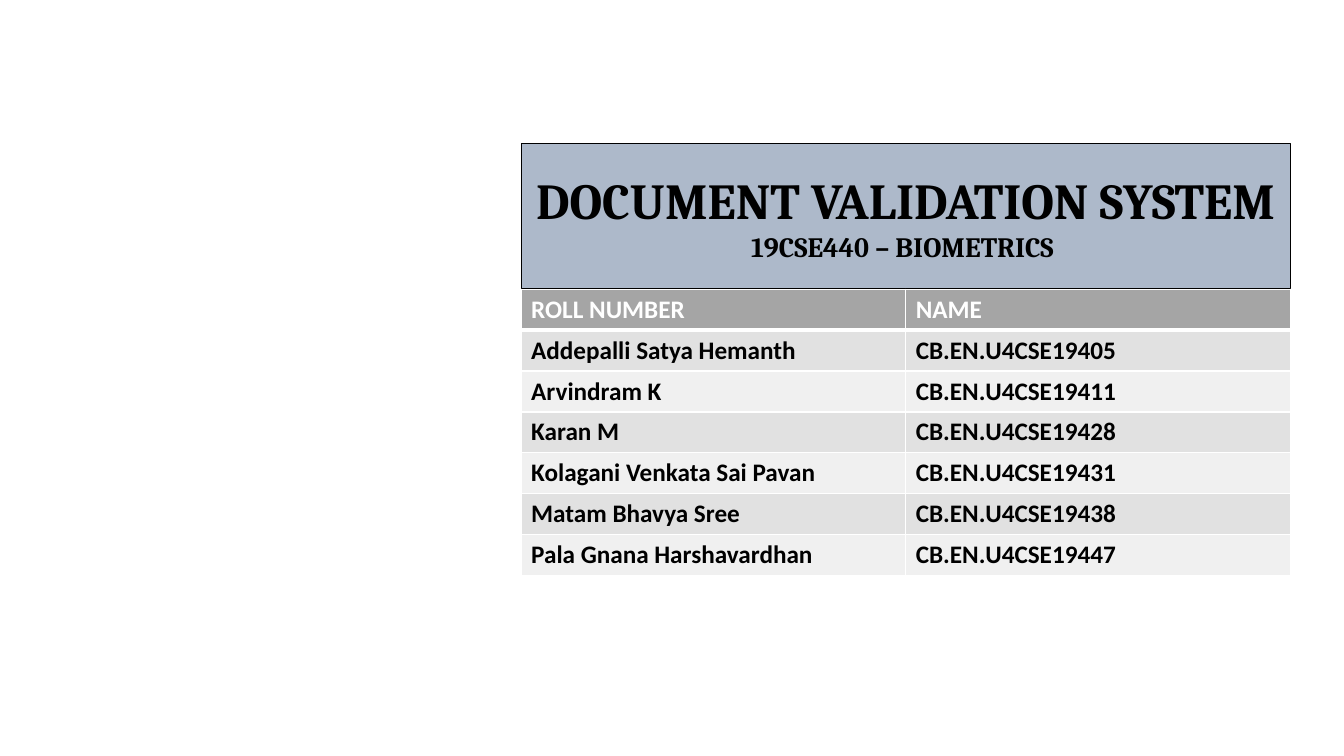
from dataclasses import dataclass

from lxml.etree import SubElement
from pptx import Presentation
from pptx.dml.color import RGBColor as Color
from pptx.enum.shapes import MSO_SHAPE as Preset
from pptx.enum.text import MSO_ANCHOR as Anchor, PP_ALIGN as Align
from pptx.oxml.ns import qn
from pptx.slide import Slide
from pptx.table import _Cell as Cell
from pptx.text.text import _Paragraph as Paragraph
from pptx.util import Pt

COLORS = {
    "text": "000000",
    "white": "FFFFFF",
    "banner": "ADB9CA",
    "header": "A5A5A5",
    "dark band": "E1E1E1",
    "light band": "F0F0F0",
}
LEFT, WIDTH = 372.24, 549.36
BANNER_TOP, BANNER_HEIGHT = 102.24, 103.68
TABLE_TOP, ROW_HEIGHT = 206.64, 29.2
THIN, THICK = 1, 3


@dataclass(frozen=True)
class TextStyle:
    font: str
    size: float
    color: str = "text"


@dataclass(frozen=True)
class RowStyle:
    text: TextStyle
    fill: str
    top: float = THIN
    bottom: float = THIN


@dataclass(frozen=True)
class Member:
    name: str
    roll_number: str


HEADINGS = ("ROLL NUMBER", "NAME")
MEMBERS = (
    Member("Addepalli Satya Hemanth", "CB.EN.U4CSE19405"),
    Member("Arvindram K", "CB.EN.U4CSE19411"),
    Member("Karan M", "CB.EN.U4CSE19428"),
    Member("Kolagani Venkata Sai Pavan", "CB.EN.U4CSE19431"),
    Member("Matam Bhavya Sree", "CB.EN.U4CSE19438"),
    Member("Pala Gnana Harshavardhan", "CB.EN.U4CSE19447"),
)
BANNER_LINES = (
    ("DOCUMENT VALIDATION SYSTEM", TextStyle("Cambria", 36)),
    ("19CSE440 – BIOMETRICS ", TextStyle("Cambria", 20)),
)
HEADER_TEXT = TextStyle("Calibri", 18, "white")
MEMBER_TEXT = TextStyle("Calibri", 18)


def color(name: str) -> Color:
    return Color.from_string(COLORS[name])


def add_run(paragraph: Paragraph, text: str, style: TextStyle) -> None:
    run = paragraph.add_run()
    run.text = text
    run.font.name = style.font
    run.font.size = Pt(style.size)
    run.font.bold = True
    run.font.color.rgb = color(style.color)


def add_banner(slide: Slide) -> None:
    banner = slide.shapes.add_shape(
        Preset.RECTANGLE, Pt(LEFT), Pt(BANNER_TOP), Pt(WIDTH), Pt(BANNER_HEIGHT)
    )
    banner.shadow.inherit = False
    banner.fill.solid()
    banner.fill.fore_color.rgb = color("banner")
    banner.line.color.rgb = color("text")
    banner.line.width = Pt(0.5)
    frame = banner.text_frame
    frame.word_wrap = True
    frame.vertical_anchor = Anchor.MIDDLE
    for index, (text, style) in enumerate(BANNER_LINES):
        paragraph = frame.add_paragraph() if index else frame.paragraphs[0]
        paragraph.alignment = Align.CENTER
        add_run(paragraph, text, style)


def add_borders(cell: Cell, style: RowStyle) -> None:
    properties = cell._tc.get_or_add_tcPr()
    widths = {"lnL": THIN, "lnR": THIN, "lnT": style.top, "lnB": style.bottom}
    for side, width in widths.items():
        line = SubElement(properties, qn(f"a:{side}"), w=str(Pt(width)))
        fill = SubElement(line, qn("a:solidFill"))
        SubElement(fill, qn("a:srgbClr"), val=COLORS["white"])


def fill_cell(cell: Cell, text: str, style: RowStyle) -> None:
    add_borders(cell, style)
    cell.fill.solid()
    cell.fill.fore_color.rgb = color(style.fill)
    add_run(cell.text_frame.paragraphs[0], text, style.text)


def row_style(index: int) -> RowStyle:
    if index == 0:
        return RowStyle(HEADER_TEXT, "header", bottom=THICK)
    fill = "dark band" if index % 2 else "light band"
    return RowStyle(MEMBER_TEXT, fill, top=THICK if index == 1 else THIN)


def add_member_table(slide: Slide) -> None:
    rows = [HEADINGS] + [(member.name, member.roll_number) for member in MEMBERS]
    table = slide.shapes.add_table(
        len(rows), len(HEADINGS), Pt(LEFT), Pt(TABLE_TOP),
        Pt(WIDTH), Pt(ROW_HEIGHT * len(rows)),
    ).table
    for row_index, texts in enumerate(rows):
        table.rows[row_index].height = Pt(ROW_HEIGHT)
        for column_index, text in enumerate(texts):
            fill_cell(table.cell(row_index, column_index), text, row_style(row_index))


def main() -> None:
    presentation = Presentation()
    presentation.slide_width = Pt(960)
    presentation.slide_height = Pt(540)
    slide = presentation.slides.add_slide(presentation.slide_layouts[6])
    add_banner(slide)
    add_member_table(slide)
    presentation.save("out.pptx")


if __name__ == "__main__":
    main()
